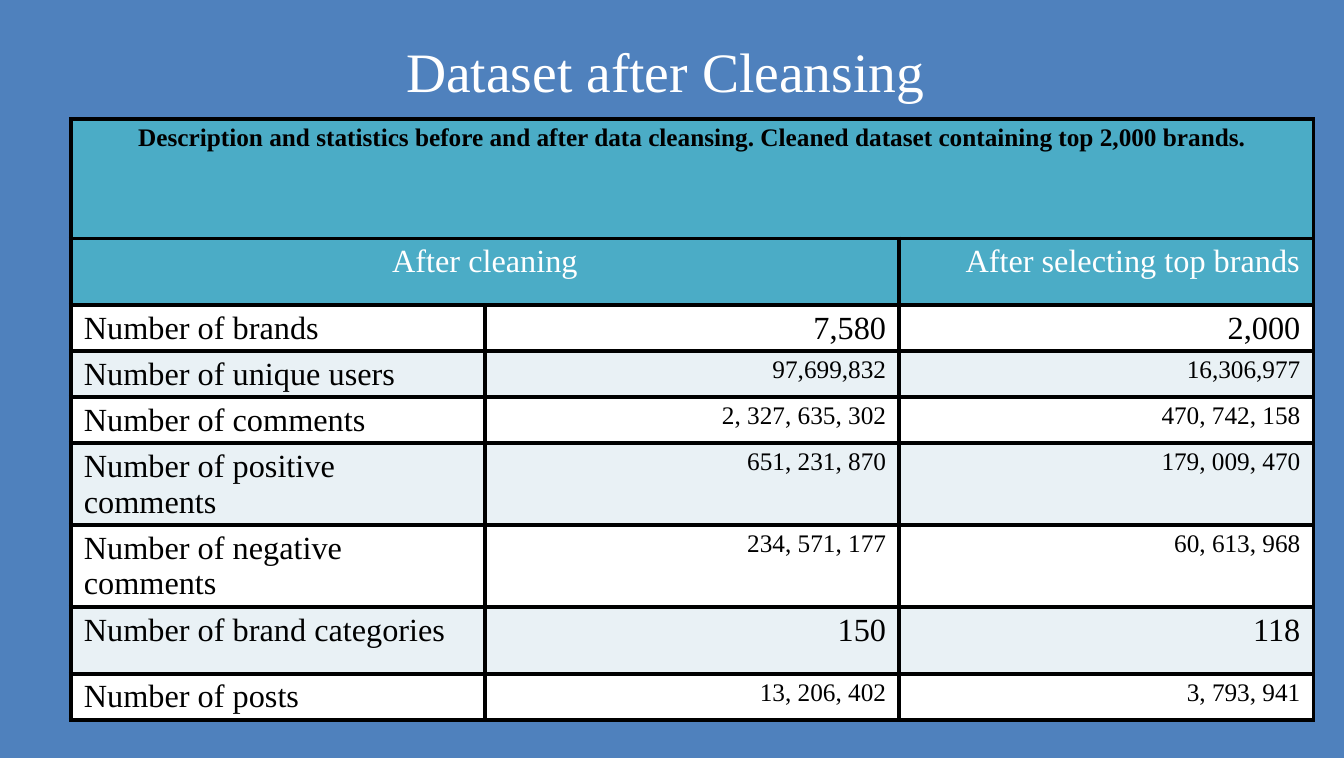
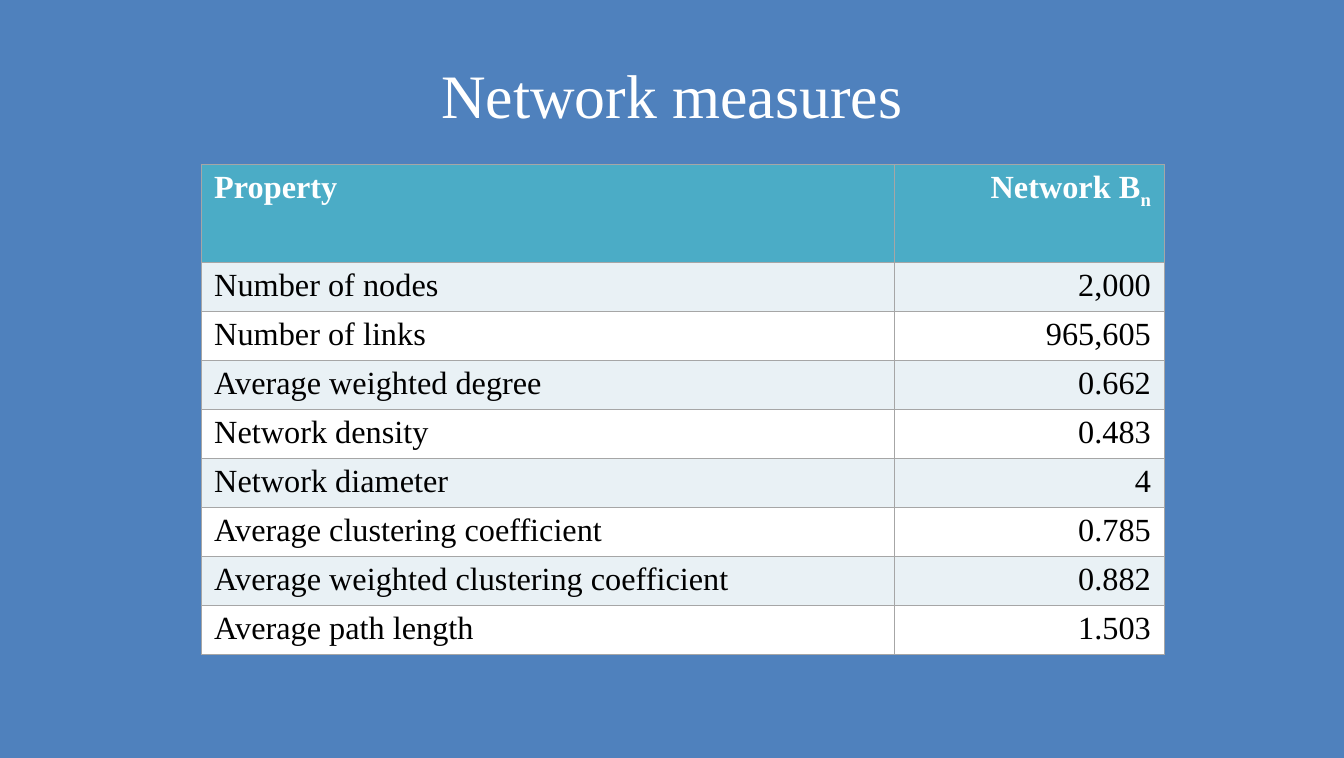
from lxml.etree import SubElement
from pptx import Presentation
from pptx.dml.color import RGBColor
from pptx.enum.text import MSO_ANCHOR, PP_ALIGN
from pptx.oxml.ns import qn
from pptx.util import Inches, Pt

FONT = "Times New Roman"
BLUE, TEAL, PALE = "4F81BD", "4BACC6", "E9F1F5"
WHITE, BLACK, GREY = "FFFFFF", "000000", "A6A6A6"
LARGE, SMALL = 23, 18

CLEANSING_CAPTION = ("Description and statistics before and after data cleansing. "
                     "Cleaned dataset containing top 2,000 brands.")
CLEANSING_HEADS = ("After cleaning", "", "After selecting top brands")
CLEANSING_ROWS = [
    ("Number of brands", "7,580", "2,000", LARGE, 0.45),
    ("Number of unique users", "97,699,832", "16,306,977", SMALL, 0.45),
    ("Number of comments", "2, 327, 635, 302", "470, 742, 158", SMALL, 0.45),
    ("Number of positive comments", "651, 231, 870", "179, 009, 470", SMALL, 0.81),
    ("Number of negative comments", "234, 571, 177", "60, 613, 968", SMALL, 0.81),
    ("Number of brand categories", "150", "118", LARGE, 0.66),
    ("Number of posts", "13, 206, 402", "3, 793, 941", SMALL, 0.45),
]
MEASURE_HEADS = ("Property", "Network B")
MEASURE_SUBSCRIPT = "n"
MEASURES = [
    ("Number of nodes", "2,000"),
    ("Number of links", "965,605"),
    ("Average weighted degree", "0.662"),
    ("Network density", "0.483"),
    ("Network diameter", "4"),
    ("Average clustering coefficient", "0.785"),
    ("Average weighted clustering coefficient", "0.882"),
    ("Average path length", "1.503"),
]


def rgb(value):
    return RGBColor.from_string(value)


def style(paragraph, size, color, bold=False, align=PP_ALIGN.LEFT):
    paragraph.alignment = align
    for run in paragraph.runs:
        run.font.name = FONT
        run.font.size = Pt(size)
        run.font.bold = bold
        run.font.color.rgb = rgb(color)


def add_titled_slide(prs, heading, width, height, size):
    slide = prs.slides.add_slide(prs.slide_layouts[5])
    title = slide.shapes.title
    title.left, title.top = 0, Inches(0.3)
    title.width, title.height = Inches(width), Inches(height)
    title.text_frame.text = heading
    title.text_frame.vertical_anchor = MSO_ANCHOR.MIDDLE
    style(title.text_frame.paragraphs[0], size, WHITE, align=PP_ALIGN.CENTER)
    return slide


def set_borders(cell, color, width):
    properties = cell._tc.get_or_add_tcPr()
    for position, side in enumerate(("lnL", "lnR", "lnT", "lnB")):
        line = SubElement(properties, qn("a:" + side), w=str(int(Pt(width))))
        solid = SubElement(line, qn("a:solidFill"))
        SubElement(solid, qn("a:srgbClr"), val=color)
        properties.insert(position, line)


def add_grid(slide, left, top, widths, heights, border, header_rows, first_band):
    grid = slide.shapes.add_table(
        len(heights), len(widths), Inches(left), Inches(top),
        Inches(sum(widths)), Inches(sum(heights))).table
    grid.first_row = grid.horz_banding = False
    for column, width in zip(grid.columns, widths):
        column.width = Inches(width)
    bands = (WHITE, PALE) if first_band == WHITE else (PALE, WHITE)
    for index, (row, height) in enumerate(zip(grid.rows, heights)):
        row.height = Inches(height)
        for cell in row.cells:
            cell.margin_left = cell.margin_right = Inches(0.13)
            cell.margin_top = cell.margin_bottom = Inches(0.05)
            cell.fill.solid()
            header = index < header_rows
            cell.fill.fore_color.rgb = rgb(TEAL if header else bands[(index - header_rows) % 2])
            set_borders(cell, *border)
    return grid


def write(cell, text, size=LARGE, color=BLACK, bold=False, align=PP_ALIGN.LEFT):
    cell.text_frame.text = text
    style(cell.text_frame.paragraphs[0], size, color, bold, align)


def write_row(grid, index, label, values, size=LARGE):
    write(grid.cell(index, 0), label)
    for column, value in enumerate(values, 1):
        write(grid.cell(index, column), value, size, align=PP_ALIGN.RIGHT)


def build_cleansing(prs):
    slide = add_titled_slide(prs, "Dataset after Cleansing", 13.17, 0.8, 39.6)
    heights = [1.18, 0.66] + [row[-1] for row in CLEANSING_ROWS]
    grid = add_grid(slide, 0.7, 1.18, [4.1] * 3, heights, (BLACK, 3), 2, WHITE)
    grid.cell(0, 0).merge(grid.cell(0, 2))
    grid.cell(1, 0).merge(grid.cell(1, 1))
    write(grid.cell(0, 0), CLEANSING_CAPTION, SMALL, bold=True, align=PP_ALIGN.CENTER)
    for column, align in ((0, PP_ALIGN.CENTER), (2, PP_ALIGN.RIGHT)):
        write(grid.cell(1, column), CLEANSING_HEADS[column], color=WHITE, align=align)
    for index, (label, cleaned, top_brands, size, _) in enumerate(CLEANSING_ROWS, 2):
        write_row(grid, index, label, (cleaned, top_brands), size)


def build_measures(prs):
    slide = add_titled_slide(prs, "Network measures", 13.3, 1.25, 44)
    heights = [0.97] + [0.485] * len(MEASURES)
    grid = add_grid(slide, 1.99, 1.63, [6.86, 2.67], heights, (GREY, 0.5), 1, PALE)
    for column, align in enumerate((PP_ALIGN.LEFT, PP_ALIGN.RIGHT)):
        write(grid.cell(0, column), MEASURE_HEADS[column], color=WHITE, bold=True, align=align)
    network_head = grid.cell(0, 1).text_frame.paragraphs[0]
    subscript = network_head.add_run()
    subscript.text = MEASURE_SUBSCRIPT
    style(network_head, LARGE, WHITE, True, PP_ALIGN.RIGHT)
    subscript.font._element.set("baseline", "-25000")
    for index, (label, value) in enumerate(MEASURES, 1):
        write_row(grid, index, label, (value,))


def main():
    prs = Presentation()
    prs.slide_width, prs.slide_height = Inches(13.3), Inches(7.5)
    background = prs.slide_master.background.fill
    background.solid()
    background.fore_color.rgb = rgb(BLUE)
    build_cleansing(prs)
    build_measures(prs)
    prs.save("out.pptx")


if __name__ == "__main__":
    main()
